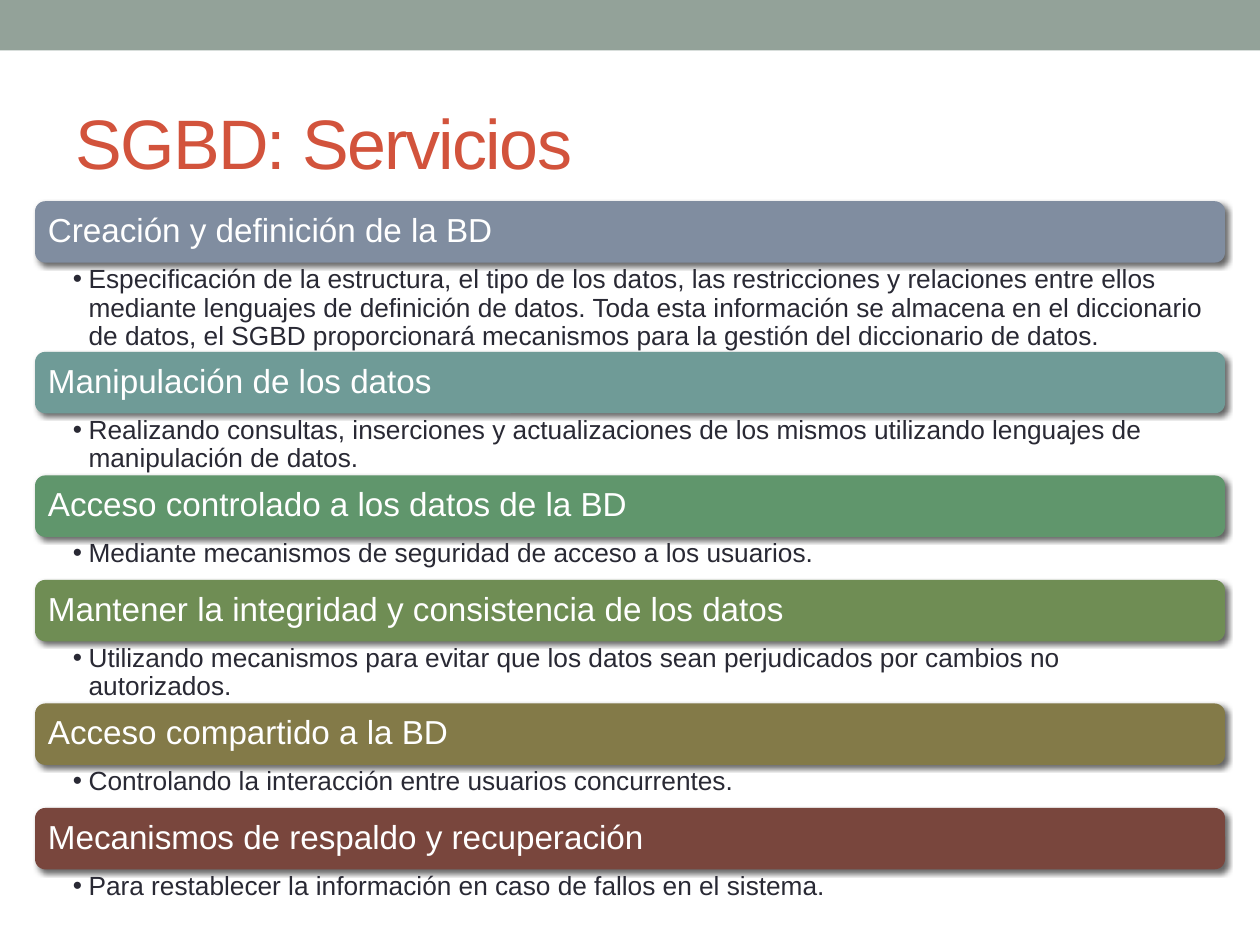
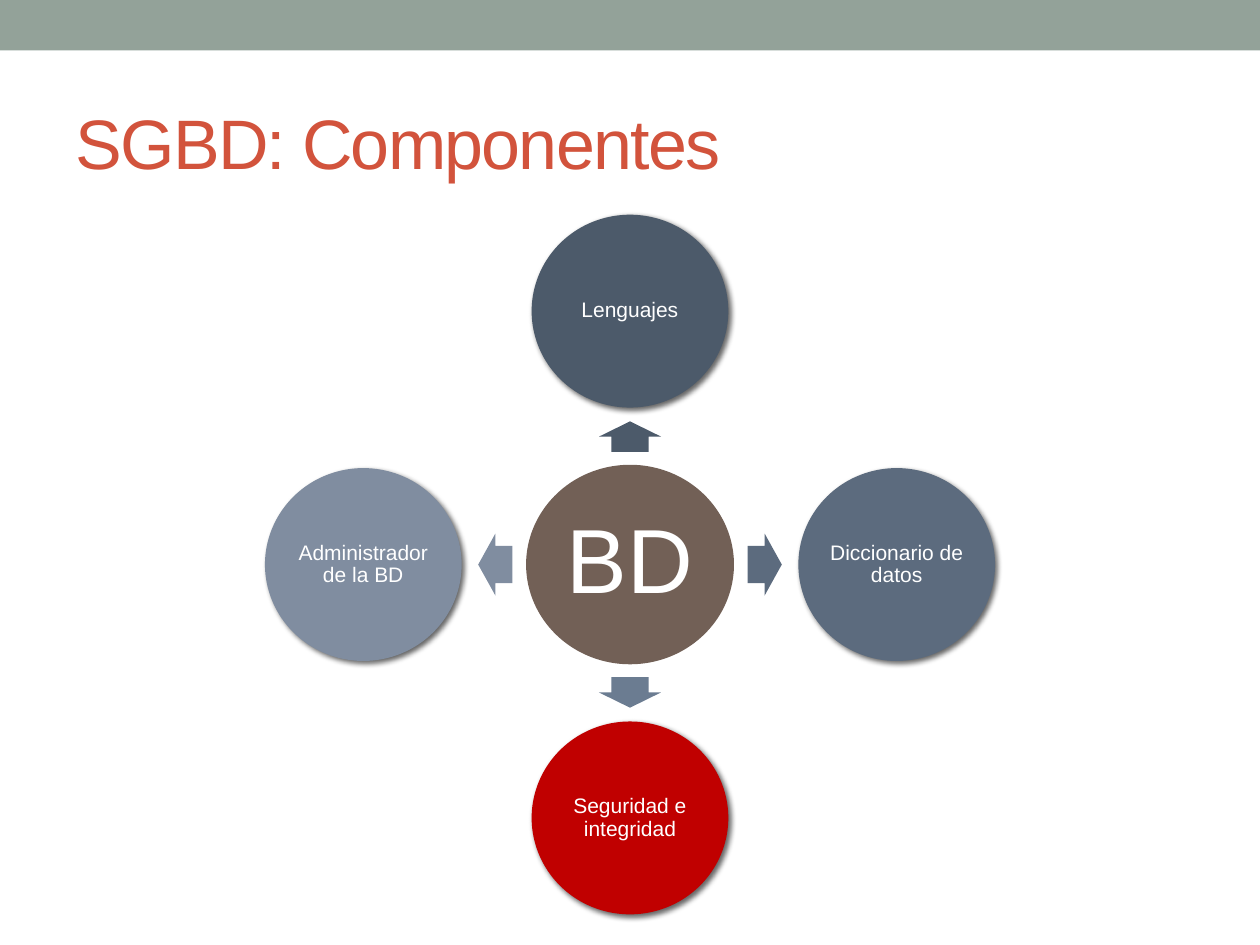
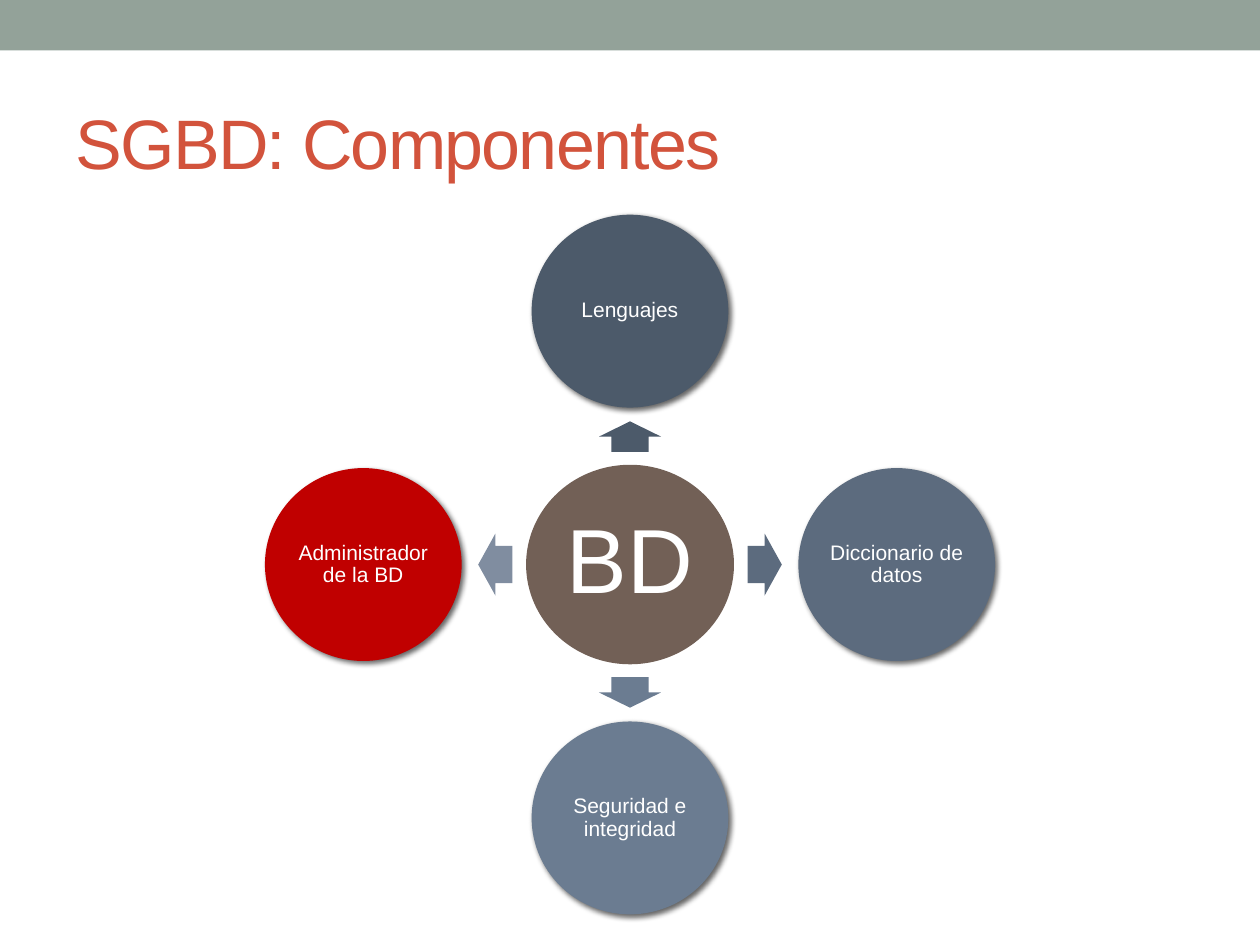
from lxml import etree
from pptx import Presentation
from pptx.dml.color import RGBColor
from pptx.enum.shapes import MSO_SHAPE
from pptx.enum.text import MSO_ANCHOR, PP_ALIGN
from pptx.oxml.ns import qn
from pptx.util import Pt

RECTANGLE = MSO_SHAPE.RECTANGLE
ROUNDED_RECTANGLE = MSO_SHAPE.ROUNDED_RECTANGLE
OVAL = MSO_SHAPE.OVAL
RIGHT_ARROW = MSO_SHAPE.RIGHT_ARROW
TOP, MIDDLE = MSO_ANCHOR.TOP, MSO_ANCHOR.MIDDLE
LEFT, CENTER = PP_ALIGN.LEFT, PP_ALIGN.CENTER

FONT = "Arial"
BAND, TITLE, BODY, WHITE = "93A299", "D2533C", "292934", "FFFFFF"
HUB, HIGHLIGHT = "726056", "C00000"
TITLE_ONLY_LAYOUT = 5
MASTER_BAND_ID = 100

# Heading, colour, detail, height of the detail
SERVICES = [
    ("Creación y definición de la BD", "808DA0",
     "Especificación de la estructura, el tipo de los datos, las restricciones y "
     "relaciones entre ellos mediante lenguajes de definición de datos. Toda esta "
     "información se almacena en el diccionario de datos, el SGBD proporcionará "
     "mecanismos para la gestión del diccionario de datos.", 51),
    ("Manipulación de los datos", "6F9B97",
     "Realizando consultas, inserciones y actualizaciones de los mismos utilizando "
     "lenguajes de manipulación de datos.", 35.5),
    ("Acceso controlado a los datos de la BD", "60966C",
     "Mediante mecanismos de seguridad de acceso a los usuarios.", 24.6),
    ("Mantener la integridad y consistencia de los datos", "6F8D54",
     "Utilizando mecanismos para evitar que los datos sean perjudicados por cambios "
     "no autorizados.", 35.5),
    ("Acceso compartido a la BD", "837A48",
     "Controlando la interacción entre usuarios concurrentes.", 24.6),
    ("Mecanismos de respaldo y recuperación", "79463D",
     "Para restablecer la información en caso de fallos en el sistema.", 24.6),
]

# Name, colour, horizontal and vertical direction, rotation of the arrow
COMPONENTS = [
    ("Lenguajes", "4C5A6A", 0, -1, 270),
    ("Diccionario de datos", "5C6B7E", 1, 0, 0),
    ("Seguridad e integridad", "6B7C91", 0, 1, 90),
    ("Administrador de la BD", "808DA0", -1, 0, 180),
]


def color(hex_string):
    return RGBColor.from_string(hex_string)


def write(shape, text, *, size, fill=WHITE, align=LEFT, anchor=MIDDLE,
          insets=(7.2, 3.6, 7.2, 3.6), line_spacing=0.9, tracking=None, bullet=False):
    """Insets run left, top, right, bottom; tracking is in points."""
    frame = shape.text_frame
    frame.word_wrap = True
    frame.vertical_anchor = anchor
    (frame.margin_left, frame.margin_top,
     frame.margin_right, frame.margin_bottom) = map(Pt, insets)
    paragraph = frame.paragraphs[0]
    paragraph.alignment = align
    paragraph.line_spacing = line_spacing
    run = paragraph.add_run()
    run.text = text
    run.font.name = FONT
    run.font.size = Pt(size)
    run.font.color.rgb = color(fill)
    if tracking is not None:
        run._r.get_or_add_rPr().set("spc", str(round(tracking * 100)))
    if bullet:
        properties = paragraph._p.get_or_add_pPr()
        properties.set("marL", str(Pt(9)))
        properties.set("indent", str(-Pt(9)))
        etree.SubElement(properties, qn("a:buFont"), typeface=FONT)
        etree.SubElement(properties, qn("a:buChar"), char="•")


def add_shadow(shape):
    effects = shape.element.spPr.find(qn("a:effectLst"))
    shadow = etree.SubElement(effects, qn("a:outerShdw"), blurRad=str(Pt(3)),
                              dist=str(Pt(2)), dir=str(45 * 60000), rotWithShape="0")
    shade = etree.SubElement(shadow, qn("a:srgbClr"), val="000000")
    etree.SubElement(shade, qn("a:alpha"), val="60000")


class Deck:
    def __init__(self):
        self.presentation = Presentation()
        self.presentation.slide_width = Pt(720)
        self.presentation.slide_height = Pt(540)
        self.slide = None

    def new_slide(self, title):
        layout = self.presentation.slide_layouts[TITLE_ONLY_LAYOUT]
        is_first = self.slide is None
        self.slide = self.presentation.slides.add_slide(layout)
        if is_first:
            self.band_on_master()
        placeholder = self.slide.shapes.title
        placeholder.left, placeholder.top = Pt(36), Pt(42)
        placeholder.width, placeholder.height = Pt(648), Pt(77.5)
        write(placeholder, title, size=40, fill=TITLE, line_spacing=1, tracking=-1)

    def band_on_master(self):
        """Draw the top band and move it to the master, behind everything."""
        band = self.shape(RECTANGLE, 0, 0, 720, 28.8, BAND).element
        band.nvSpPr.cNvPr.set("id", str(MASTER_BAND_ID))
        self.presentation.slide_master.element.cSld.spTree.insert(2, band)

    def shape(self, kind, left, top, width, height, fill, shadow=False):
        shape = self.slide.shapes.add_shape(kind, Pt(left), Pt(top), Pt(width), Pt(height))
        shape.shadow.inherit = False
        shape.fill.solid()
        shape.fill.fore_color.rgb = color(fill)
        shape.line.fill.background()
        if shadow:
            add_shadow(shape)
        return shape

    def centered_shape(self, kind, x, y, width, height, fill, shadow=False):
        return self.shape(kind, x - width / 2, y - height / 2, width, height, fill, shadow)

    def circle(self, text, x, y, width, height, fill, size, inset, shadow=False):
        circle = self.centered_shape(OVAL, x, y, width, height, fill, shadow)
        write(circle, text, size=size, align=CENTER, insets=[inset] * 4)

    def arrow(self, x, y, length, fill, rotation):
        arrow = self.centered_shape(RIGHT_ARROW, x, y, length, 35.4, fill)
        arrow.adjustments[0], arrow.adjustments[1] = 0.6, 0.5
        arrow.rotation = rotation

    def heading_bar(self, text, left, top, width, height, fill):
        bar = self.shape(ROUNDED_RECTANGLE, left, top, width, height, fill, shadow=True)
        write(bar, text, size=19, insets=[5.7] * 4)

    def detail(self, text, left, top, width, height):
        box = self.slide.shapes.add_textbox(Pt(left), Pt(top), Pt(width), Pt(height))
        write(box, text, size=15, fill=BODY, anchor=TOP,
              insets=(21.6, 1.9, 10.7, 1.9), bullet=True)


def services_slide(deck):
    deck.new_slide("SGBD: Servicios")
    left, top, width, bar_height = 20, 115, 680, 35.1
    for heading, fill, detail, detail_height in SERVICES:
        deck.heading_bar(heading, left, top, width, bar_height, fill)
        top += bar_height
        deck.detail(detail, left, top, width, detail_height)
        top += detail_height


def components_slide(deck, highlighted):
    deck.new_slide("SGBD: Componentes")
    center_x, center_y = 360, 322.6
    reach_x, reach_y = 152.4, 144.8
    arrow_share = 0.505
    deck.circle("BD", center_x, center_y, 118.8, 114, HUB, size=52, inset=5)
    for name, fill, across, down, rotation in COMPONENTS:
        offset_x, offset_y = across * reach_x, down * reach_y
        deck.arrow(center_x + offset_x * arrow_share, center_y + offset_y * arrow_share,
                   19.6 if across else 17.4, fill, rotation)
        deck.circle(name, center_x + offset_x, center_y + offset_y, 112.4, 110.2,
                    HIGHLIGHT if name == highlighted else fill,
                    size=12, inset=1.2, shadow=True)


def main():
    deck = Deck()
    services_slide(deck)
    components_slide(deck, "Seguridad e integridad")
    components_slide(deck, "Administrador de la BD")
    deck.presentation.save("out.pptx")


if __name__ == "__main__":
    main()
